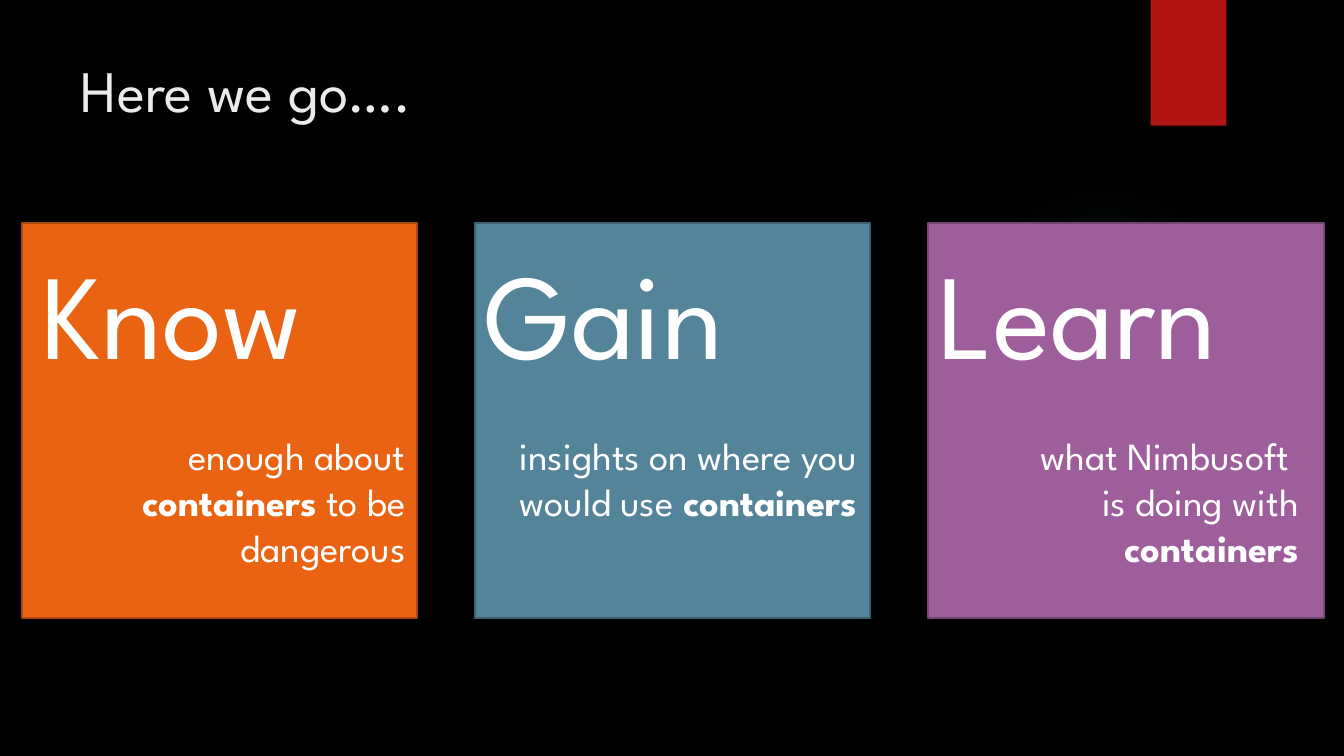
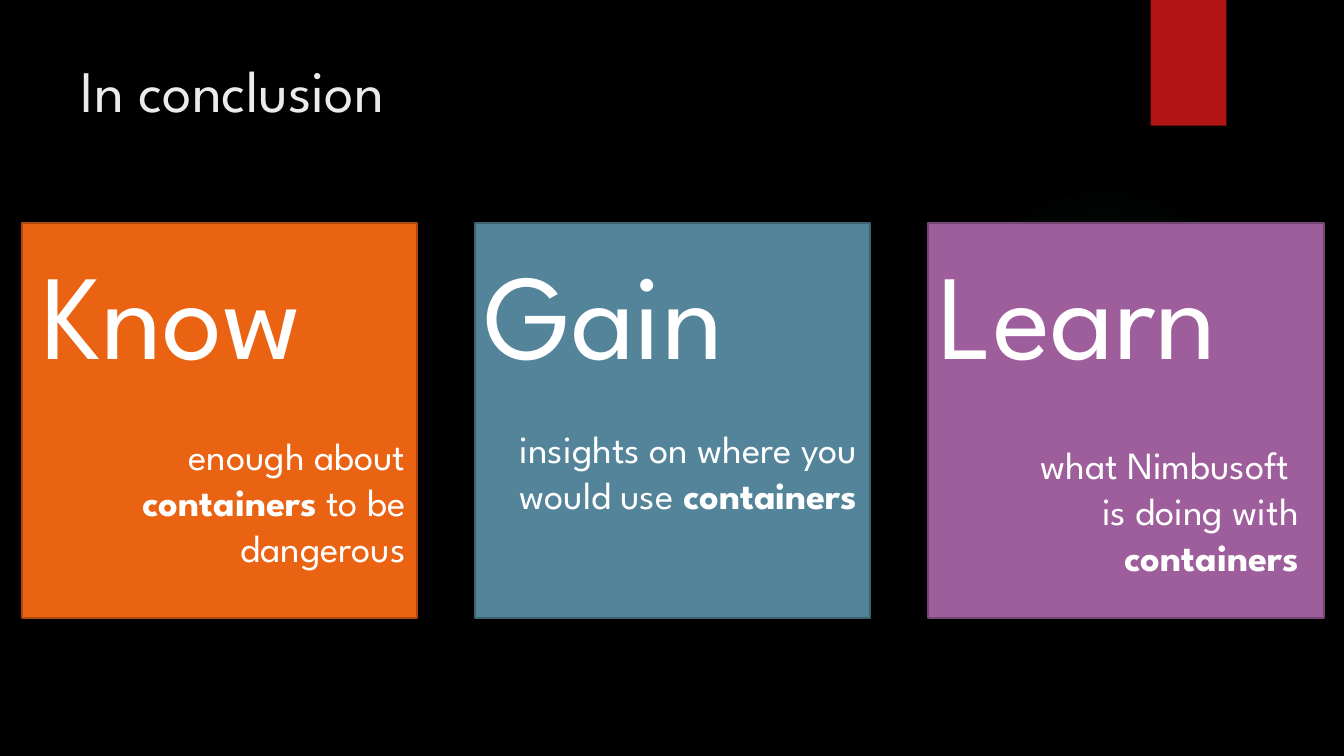
from pptx import Presentation
from pptx.dml.color import RGBColor
from pptx.enum import shapes, text
from pptx.oxml import parse_xml
from pptx.oxml.ns import nsdecls
from pptx.util import Cm, Pt

BLACK = RGBColor(0x00, 0x00, 0x00)
WHITE = RGBColor(0xFF, 0xFF, 0xFF)
PALE = RGBColor(0xEB, 0xEB, 0xEB)
RED = RGBColor(0xB0, 0x15, 0x13)
TEAL = RGBColor(0x50, 0xB9, 0xC1)
ORANGE = RGBColor(0xEA, 0x63, 0x12)
RUST = RGBColor(0xAD, 0x49, 0x0D)
BLUE = RGBColor(0x54, 0x84, 0x9A)
NAVY = RGBColor(0x3E, 0x62, 0x72)
PURPLE = RGBColor(0x9E, 0x5E, 0x9B)
PLUM = RGBColor(0x75, 0x46, 0x73)

FONT = "League Spartan"
KEY = "containers"
SIDE, STEP = 10.16, 11.65
LEFT, TOP = 0.56, 5.73
NOTE_H = 3.84
GLOW = [(0, 7), (36, 6), (69, 0)]

CARDS = [
    dict(word="Know", fill=ORANGE, edge=RUST, inset=0.51, left=0.94, width=9.73,
         note=["enough about containers to be dangerous"]),
    dict(word="Gain", fill=BLUE, edge=NAVY, inset=0.25, left=11.28, width=11,
         note=["insights on where you would use containers"]),
    dict(word="Learn", fill=PURPLE, edge=PLUM, inset=0.25, left=22.86, width=10.77,
         note=["what Nimbusoft ", "is doing with containers"]),
]
SLIDES = [
    ("Here we go….", [10.97, 10.97, 10.97]),
    ("In conclusion", [10.97, 10.8, 11.2]),
]


def style(run, size, color, bold=False):
    font = run.font
    font.name, font.size, font.bold = FONT, Pt(size), bold
    font.color.rgb = color


def add_shape(slide, kind, *box):
    shape = slide.shapes.add_shape(kind, *map(Cm, box))
    shape.shadow.inherit = False
    shape.fill.background()
    shape.line.fill.background()
    return shape


def add_text(slide, *box):
    frame = slide.shapes.add_textbox(*map(Cm, box)).text_frame
    frame.word_wrap = True
    return frame


def add_glow(slide):
    glow = add_shape(slide, shapes.MSO_SHAPE.OVAL, 24.38, 4.75, 8, 7.98)
    stops = "".join(
        f'<a:gs pos="{pos * 1000}"><a:srgbClr val="{TEAL}">'
        f'<a:alpha val="{alpha * 1000}"/></a:srgbClr></a:gs>'
        for pos, alpha in GLOW)
    grad = parse_xml(
        f'<a:gradFill {nsdecls("a")}><a:gsLst>{stops}</a:gsLst><a:path path="circle">'
        '<a:fillToRect l="50000" t="50000" r="50000" b="50000"/></a:path></a:gradFill>')
    props = glow.element.spPr
    props.replace(props.find("{*}noFill"), grad)


def add_frame(slide, title):
    add_glow(slide)
    ribbon = add_shape(slide, shapes.MSO_SHAPE.RECTANGLE, 29.57, 0, 1.95, 3.23)
    ribbon.fill.solid()
    ribbon.fill.fore_color.rgb = RED
    frame = add_text(slide, 1.83, 1.27, 26.64, 3.96)
    frame.text = title
    style(frame.paragraphs[0].runs[0], 42.8, PALE)


def add_card(slide, index, card):
    tile = add_shape(slide, shapes.MSO_SHAPE.RECTANGLE,
                     LEFT + index * STEP, TOP, SIDE, SIDE)
    tile.fill.solid()
    tile.fill.fore_color.rgb = card["fill"]
    tile.line.color.rgb = card["edge"]
    tile.line.width = Pt(1.5)
    frame = tile.text_frame
    frame.margin_left = frame.margin_right = Cm(card["inset"])
    frame.margin_top = frame.margin_bottom = Cm(0.41)
    frame.vertical_anchor = text.MSO_ANCHOR.TOP
    frame.text = card["word"]
    para = frame.paragraphs[0]
    para.alignment = text.PP_ALIGN.LEFT
    style(para.runs[0], 88, WHITE)


def add_note(slide, card, top):
    frame = add_text(slide, card["left"], top, card["width"], NOTE_H)
    frame.text = "\n".join(card["note"])
    for para, line in zip(frame.paragraphs, card["note"]):
        para.clear()
        para.alignment = text.PP_ALIGN.RIGHT
        para.level = 1
        props = para._p.get_or_add_pPr()
        props.set("marL", str(Cm(1.3)))
        props.set("indent", "0")
        for part in filter(None, line.partition(KEY)):
            run = para.add_run()
            run.text = part
            style(run, 28, WHITE, part == KEY)


def main():
    deck = Presentation()
    deck.slide_width, deck.slide_height = Cm(34.54), Cm(19.43)
    back = deck.slide_master.background.fill
    back.solid()
    back.fore_color.rgb = BLACK
    for title, tops in SLIDES:
        slide = deck.slides.add_slide(deck.slide_layouts[6])
        add_frame(slide, title)
        for index, card in enumerate(CARDS):
            add_card(slide, index, card)
        for card, top in zip(CARDS, tops):
            add_note(slide, card, top)
    deck.save("out.pptx")


if __name__ == "__main__":
    main()
